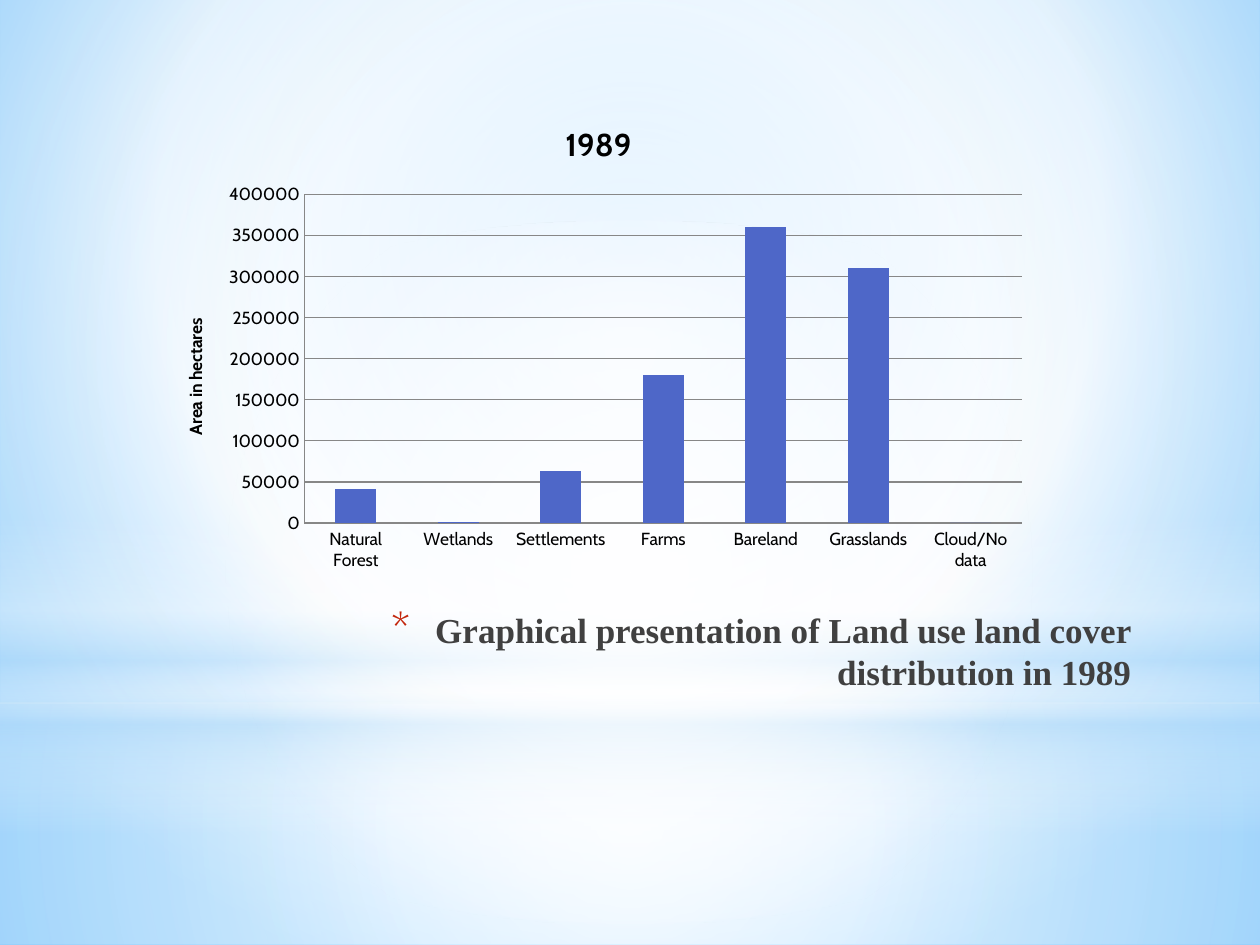
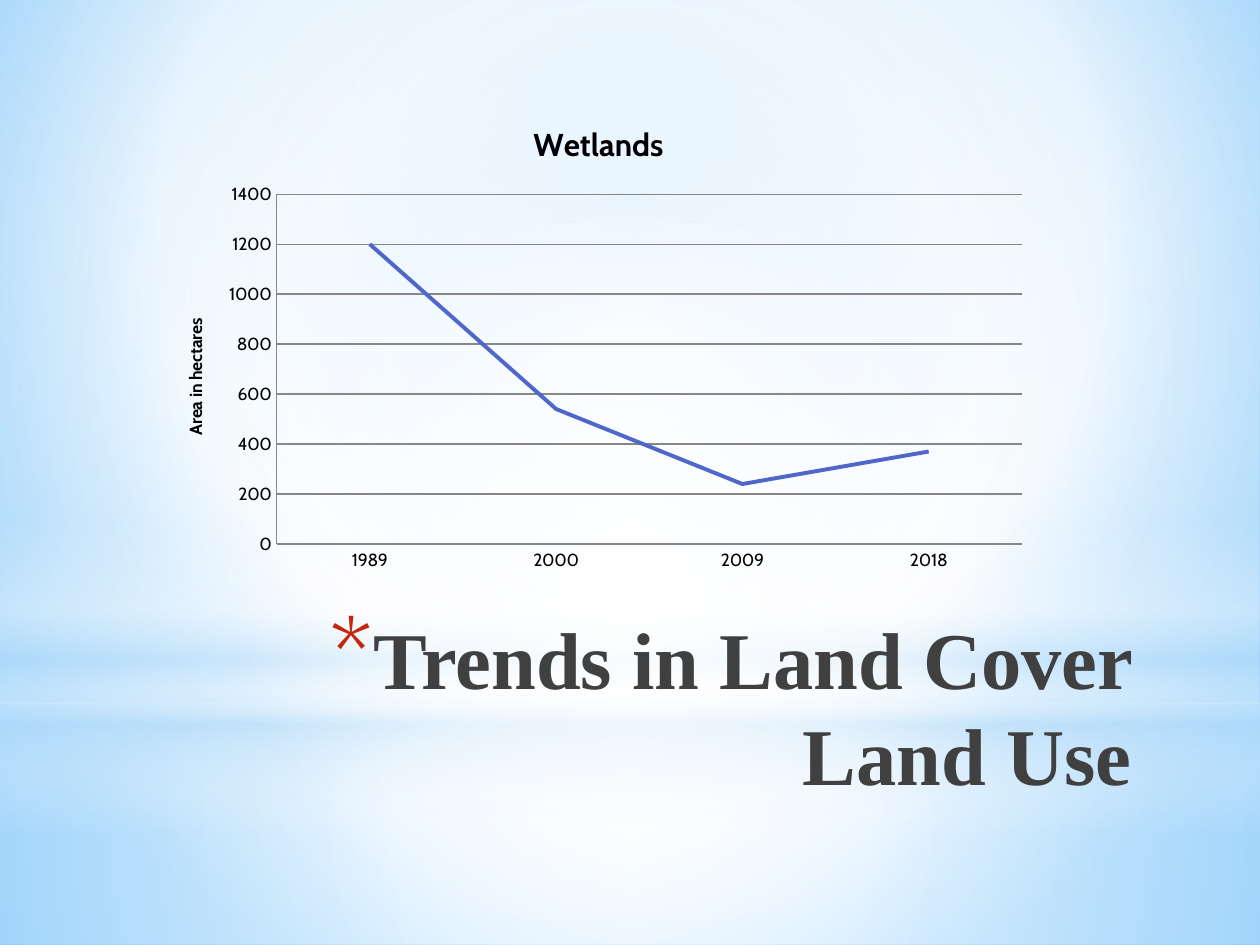
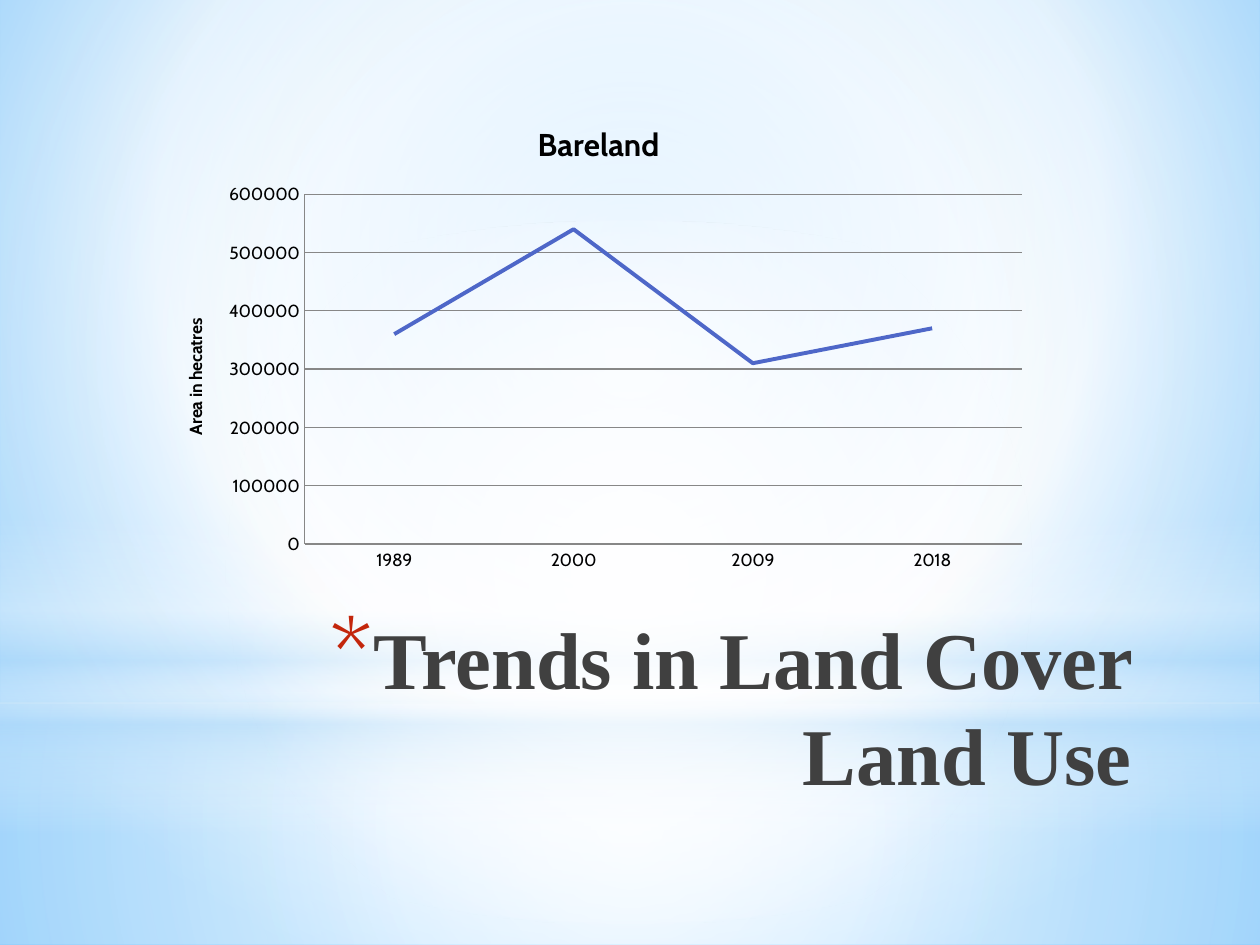
from dataclasses import dataclass

from pptx import Presentation
from pptx.chart.data import CategoryChartData
from pptx.dml.color import RGBColor
from pptx.enum.chart import XL_CHART_TYPE, XL_MARKER_STYLE, XL_TICK_MARK
from pptx.enum.shapes import MSO_SHAPE
from pptx.enum.text import MSO_ANCHOR, MSO_AUTO_SIZE, PP_ALIGN
from pptx.oxml import parse_xml
from pptx.oxml.ns import nsdecls
from pptx.util import Inches, Pt


@dataclass(frozen=True)
class Theme:
    white: str = "FFFFFF"
    sky: str = "B4DCFA"
    glow: str = "9ED5FF"
    edge: str = "5BB9FF"
    black: str = "000000"
    ink: str = "404040"
    navy: str = "212745"
    bullet: str = "C3260C"
    series: str = "4E67C8"
    grid: str = "878787"
    title_font: str = "Times New Roman"
    chart_font: str = "Cabin"
    caption_size: int = 20
    heading_size: int = 46
    chart_title_size: int = 18
    label_size: int = 10
    line_width: float = 2.25
    bullet_percent: int = 128


THEME = Theme()
CENTER = (50, 50, 50, 50)
YEARS = ("1989", "2000", "2009", "2018")
TITLE_BOX = (1.96, 4.78, 7.12, 1.25)
CHART_BOX = (1.25, 0.8, 7, 3.8)

BACKDROP = (
    (MSO_SHAPE.RECTANGLE, (0, 5.58, 10, 1.92),
     ((0, THEME.white, 91), (37, THEME.white, 76), (100, THEME.sky, 79)), CENTER),
    (MSO_SHAPE.RECTANGLE, (0, 0, 10, 5.58),
     ((0, THEME.white, 89), (48, THEME.white, 62), (100, THEME.sky, 79)), CENTER),
    (MSO_SHAPE.RECTANGLE, (0, 4.12, 10, 2.5),
     ((0, THEME.white, 0), (29, THEME.white, 30), (45, THEME.sky, 40),
      (55, THEME.white, 26), (65, THEME.sky, 60), (100, THEME.white, 0)), None),
    (MSO_SHAPE.OVAL, (0, 1.75, 10, 5.58),
     ((0, THEME.white, 100), (56, THEME.white, 0)), CENTER),
)


def rgb(code):
    return RGBColor.from_string(code)


def inches(box):
    return [Inches(length) for length in box]


def gradient_xml(stops, focus=None):
    marks = "".join(
        f'<a:gs pos="{place * 1000}"><a:srgbClr val="{color}">'
        f'<a:alpha val="{alpha * 1000}"/></a:srgbClr></a:gs>'
        for place, color, alpha in stops
    )
    if focus:
        left, top, right, bottom = (side * 1000 for side in focus)
        direction = (f'<a:path path="circle"><a:fillToRect l="{left}" t="{top}" '
                     f'r="{right}" b="{bottom}"/></a:path>')
    else:
        direction = '<a:lin ang="5400000" scaled="0"/>'
    return (f'<a:gradFill {nsdecls("a")} rotWithShape="1"><a:gsLst>{marks}</a:gsLst>'
            f'{direction}</a:gradFill>')


def set_background(layout):
    stops = ((0, THEME.glow, 100), (60, THEME.white, 100), (100, THEME.edge, 100))
    fill = gradient_xml(stops, (20, 10, 20, 60))
    layout.element.cSld.insert(0, parse_xml(
        f'<p:bg {nsdecls("p", "a")}><p:bgPr>{fill}<a:effectLst/></p:bgPr></p:bg>'))


def move_backdrop_to_layout(page, layout):
    for order, (kind, box, stops, focus) in enumerate(BACKDROP):
        shape = page.shapes.add_shape(kind, *inches(box))
        shape.element.spPr.insert(2, parse_xml(gradient_xml(stops, focus)))
        shape.line.fill.background()
        shape.shadow.inherit = False
        shape.element.nvSpPr.cNvPr.set("id", str(100 + order))
        layout.shapes.element.insert(2 + order, shape.element)


def add_bullet(paragraph):
    properties = paragraph._p.get_or_add_pPr()
    properties.set("marL", str(Inches(0.35)))
    properties.set("indent", str(Inches(-0.35)))
    for markup in (
        f'<a:buClr {nsdecls("a")}><a:srgbClr val="{THEME.bullet}"/></a:buClr>',
        f'<a:buSzPct {nsdecls("a")} val="{THEME.bullet_percent * 1000}"/>',
        f'<a:buFont {nsdecls("a")} typeface="{THEME.chart_font}"/>',
        f'<a:buChar {nsdecls("a")} char="*"/>',
    ):
        properties.append(parse_xml(markup))


def place_title(page, box, text, size):
    title = page.shapes.title
    title.left, title.top, title.width, title.height = inches(box)
    frame = title.text_frame
    frame.word_wrap = True
    frame.auto_size = MSO_AUTO_SIZE.NONE
    frame.vertical_anchor = MSO_ANCHOR.TOP
    paragraph = frame.paragraphs[0]
    paragraph.alignment = PP_ALIGN.RIGHT
    add_bullet(paragraph)
    span = paragraph.add_run()
    span.text = text
    span.font.name = THEME.title_font
    span.font.size = Pt(size)
    span.font.bold = True
    stops = ((0, THEME.black, 100), (40, THEME.ink, 100), (100, THEME.navy, 65))
    span.font._element.insert(0, parse_xml(gradient_xml(stops)))


def write_chart_text(frame, text, size):
    span = frame.paragraphs[0].add_run()
    span.text = text
    span.font.name = THEME.chart_font
    span.font.size = Pt(size)
    span.font.bold = True
    span.font.color.rgb = rgb(THEME.black)


def style_axes(chart, value_title):
    for axis in (chart.category_axis, chart.value_axis):
        axis.major_tick_mark = XL_TICK_MARK.NONE
        axis.minor_tick_mark = XL_TICK_MARK.NONE
        axis.format.line.color.rgb = rgb(THEME.grid)
    values = chart.value_axis
    values.has_major_gridlines = True
    values.major_gridlines.format.line.color.rgb = rgb(THEME.grid)
    values.has_title = True
    write_chart_text(values.axis_title.text_frame, value_title, THEME.label_size)


def style_series(plot, kind):
    series = plot.series[0]
    plot.vary_by_categories = False
    if kind == XL_CHART_TYPE.LINE:
        series.smooth = False
        series.marker.style = XL_MARKER_STYLE.NONE
        series.format.line.width = Pt(THEME.line_width)
        series.format.line.color.rgb = rgb(THEME.series)
    else:
        plot.gap_width = 150
        series.format.fill.solid()
        series.format.fill.fore_color.rgb = rgb(THEME.series)


def place_chart(page, box, kind, name, value_title, categories, values):
    data = CategoryChartData()
    data.categories = categories
    data.add_series("Series 1", values)
    chart = page.shapes.add_chart(kind, *inches(box), data).chart
    chart.font.name = THEME.chart_font
    chart.font.size = Pt(THEME.label_size)
    chart.font.color.rgb = rgb(THEME.black)
    chart.has_legend = False
    chart.has_title = True
    chart.chart_title.include_in_layout = False
    write_chart_text(chart.chart_title.text_frame, name, THEME.chart_title_size)
    style_axes(chart, value_title)
    style_series(chart.plots[0], kind)


def add_distribution_page(deck, layout):
    page = deck.slides.add_slide(layout)
    place_title(page, TITLE_BOX,
                "Graphical presentation of Land use land cover distribution in 1989",
                THEME.caption_size)
    place_chart(page, CHART_BOX, XL_CHART_TYPE.COLUMN_CLUSTERED, "1989", "Area in hectares",
                ("Natural Forest", "Wetlands", "Settlements", "Farms", "Bareland",
                 "Grasslands", "Cloud/No data"),
                (41000, 1200, 63000, 180000, 360000, 310000, 0))
    return page


def add_trend_page(deck, layout, name, value_title, values):
    page = deck.slides.add_slide(layout)
    place_title(page, TITLE_BOX, "Trends in Land Cover Land Use", THEME.heading_size)
    place_chart(page, CHART_BOX, XL_CHART_TYPE.LINE, name, value_title, YEARS, values)


def main():
    deck = Presentation()
    deck.slide_width, deck.slide_height = Inches(10), Inches(7.5)
    layout = deck.slide_layouts.get_by_name("Title Only")
    set_background(layout)
    first_page = add_distribution_page(deck, layout)
    move_backdrop_to_layout(first_page, layout)
    add_trend_page(deck, layout, "Wetlands", "Area in hectares", (1200, 540, 240, 370))
    add_trend_page(deck, layout, "Bareland", "Area in hecatres",
                   (360000, 540000, 310000, 370000))
    deck.save("out.pptx")


if __name__ == "__main__":
    main()
